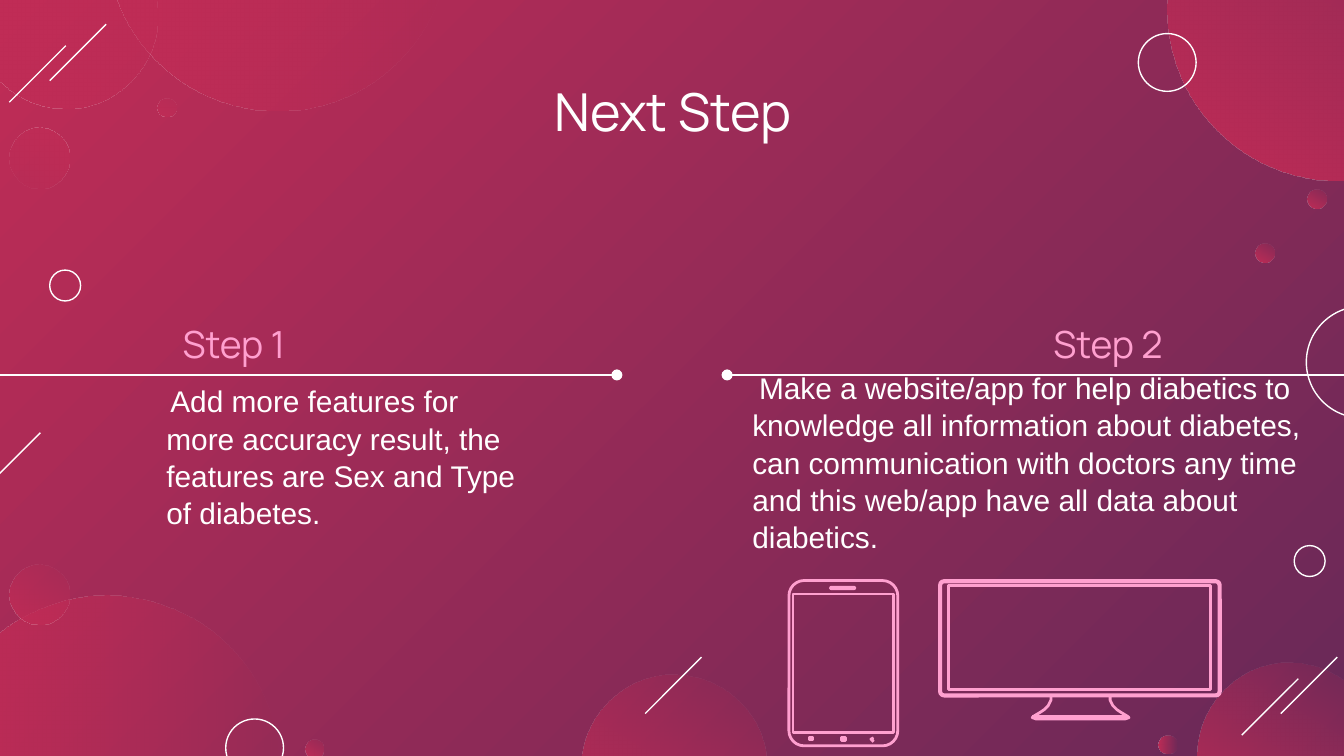
from lxml import etree
from pptx import Presentation
from pptx.dml.color import RGBColor
from pptx.enum.shapes import MSO_CONNECTOR, MSO_SHAPE
from pptx.enum.text import MSO_ANCHOR, PP_ALIGN
from pptx.oxml.ns import qn
from pptx.util import Pt

OVAL, RECT, ROUND = MSO_SHAPE.OVAL, MSO_SHAPE.RECTANGLE, MSO_SHAPE.ROUNDED_RECTANGLE
STRAIGHT = MSO_CONNECTOR.STRAIGHT
TOP, MIDDLE = MSO_ANCHOR.TOP, MSO_ANCHOR.MIDDLE
LEFT, CENTER, RIGHT = PP_ALIGN.LEFT, PP_ALIGN.CENTER, PP_ALIGN.RIGHT
RED, PURPLE, PINK, WHITE = "C02C56", "682958", "FFA0CF", "FFFFFF"

deck = Presentation()
deck.slide_width = 9144000
deck.slide_height = deck.slide_width * 9 // 16
COLUMN = ROW = deck.slide_width // 10


def color(code):
    return RGBColor.from_string(code)


def write(box, text, *, size, font="Manrope", ink=WHITE, align=LEFT, anchor=TOP,
          indent=0, first=0, spacing=1.0):
    frame = box.text_frame
    frame.word_wrap = True
    frame.vertical_anchor = anchor
    frame.margin_left = frame.margin_right = COLUMN // 10
    frame.margin_top = frame.margin_bottom = ROW // 10
    para = frame.paragraphs[0]
    para.alignment = align
    para.line_spacing = spacing
    layout = para._p.get_or_add_pPr()
    layout.set("marL", str(int(indent * COLUMN)))
    layout.set("indent", str(int(first * COLUMN)))
    span = para.add_run()
    span.text = text
    span.font.size = Pt(size)
    span.font.name = font
    span.font.bold = False
    span.font.color.rgb = color(ink)


page = deck.slides.add_slide(deck.slide_layouts[5])
backdrop = page.background.fill
backdrop.gradient()
backdrop.gradient_angle = 315
for stop, code in zip(backdrop.gradient_stops, (RED, PURPLE)):
    stop.color.rgb = color(code)

HUGE, LARGE, SMALL, DOT = 2.55, 1.37, 0.45, 0.14
bubbles = [
    (0.79, -1.73, HUGE, 0, 0), (-0.2, -0.56, LARGE, 121, 1),
    (8.91, 4.93, LARGE, 121, 1), (8.69, -1.21, HUGE, 121, 1),
    (-0.48, 4.43, HUGE, 0, 0), (0.07, 0.95, SMALL, 121, 0),
    (1.17, 0.73, DOT, 121, 1), (4.33, 5.02, LARGE, 121, 1),
    (2.27, 5.5, DOT, 121, 1), (8.62, 5.47, DOT, 0, 0),
    (9.73, 1.41, DOT, 121, 1), (9.34, 1.81, DOT, 121, 1),
    (0.07, 4.2, SMALL, 121, 1),
]
for left, top, size, angle, clear_stop in bubbles:
    bubble = page.shapes.add_shape(
        OVAL, int(left * COLUMN), int(top * ROW), int(size * COLUMN), int(size * ROW))
    bubble.shadow.inherit = False
    bubble.rotation = 180
    bubble.line.fill.background()
    bubble.fill.gradient()
    bubble.fill.gradient_angle = -angle % 360
    for stop in bubble.fill.gradient_stops:
        stop.color.rgb = color(RED)
    tints = list(bubble._element.spPr.iter(qn("a:srgbClr")))
    etree.SubElement(tints[clear_stop], qn("a:alpha"), val="0")

rings = [(8.47, 0.25, 0.43), (0.37, 2.01, 0.23), (9.72, 2.28, 0.83),
         (9.63, 4.06, 0.23), (1.68, 5.35, 0.43)]
outlines = [(OVAL, left, top, size, size, None, WHITE, 0.75) for left, top, size in rings]
phone = [
    (ROUND, 5.87, 4.32, 0.81, 1.23, 0.14), (RECT, 5.9, 4.42, 0.75, 1.03, None),
    (ROUND, 6.18, 4.37, 0.18, 0.01, 0.5), (RECT, 6.02, 5.49, 0.03, 0.01, None),
    (RECT, 6.26, 5.49, 0.03, 0.02, None),
]
monitor = [
    (ROUND, 6.99, 4.32, 2.09, 0.86, 0.04), (ROUND, 7, 4.33, 2.07, 0.84, 0.03),
    (RECT, 7.06, 4.36, 1.95, 0.77, None),
]
outlines += [(*part, PINK, 1.5) for part in phone + monitor]
for kind, left, top, width, height, corner, ink, weight in outlines:
    outline = page.shapes.add_shape(
        kind, int(left * COLUMN), int(top * ROW), int(width * COLUMN), int(height * ROW))
    outline.shadow.inherit = False
    outline.fill.background()
    outline.line.color.rgb = color(ink)
    outline.line.width = Pt(weight)
    if corner is not None:
        outline.adjustments[0] = corner

STAND_CENTER = 8.04
profile = [(0.22, 5.17), (0.22, 5.21), (0.24, 5.25), (0.27, 5.28), (0.3, 5.3),
           (0.35, 5.33), (0.36, 5.34), (0.33, 5.35)]
stand = [(STAND_CENTER - offset, y) for offset, y in profile]
stand += [(STAND_CENTER + offset, y) for offset, y in reversed(profile)]
back_key = [(6.5, 5.49), (6.48, 5.5), (6.5, 5.52)]
for points in (stand, back_key):
    corners = [(int(x * COLUMN), int(y * ROW)) for x, y in points]
    builder = page.shapes.build_freeform(*corners[0])
    builder.add_line_segments(corners[1:], close=False)
    curve = builder.convert_to_shape()
    curve.shadow.inherit = False
    curve.fill.background()
    curve.line.color.rgb = color(PINK)
    curve.line.width = Pt(1.5)

SLANT = 0.42
slants = [(9.24, 5.47), (9.53, 5.31), (-0.12, 3.64), (0.07, 0.76), (0.37, 0.6), (4.8, 5.31)]
lines = [(x, y, x + SLANT, y - SLANT, WHITE, 0.75, False) for x, y in slants]
lines += [
    (4.59, 2.79, 0, 2.79, WHITE, 0.75, True),
    (5.41, 2.79, 10, 2.79, WHITE, 0.75, True),
    (7.68, 5.33, 8.39, 5.33, PINK, 1.5, False),
]
for x1, y1, x2, y2, ink, weight, dotted in lines:
    line = page.shapes.add_connector(
        STRAIGHT, int(x1 * COLUMN), int(y1 * ROW), int(x2 * COLUMN), int(y2 * ROW))
    line.line.color.rgb = color(ink)
    line.line.width = Pt(weight)
    properties = line._element.spPr
    if dotted:
        etree.SubElement(properties.find(qn("a:ln")), qn("a:headEnd"), type="oval")
    etree.SubElement(properties, qn("a:effectLst"))

title = page.shapes.title
title.left, title.top = int(0.79 * COLUMN), int(0.49 * ROW)
title.width, title.height = int(8.43 * COLUMN), int(0.63 * ROW)
write(title, "Next Step", size=28, align=CENTER)

heading = dict(size=20, ink=PINK)
body = dict(size=16, font="Arial", anchor=MIDDLE, indent=0.5, spacing=1.04)
texts = [
    (1.26, 2.29, 2.75, 0.44, "Step 1", heading),
    (0.64, 2.78, 3.36, 1.23,
     "Add more features for more accuracy result, the features are Sex and Type of diabetes.",
     dict(body, first=0.03)),
    (6, 2.29, 2.75, 0.44, "Step 2", dict(heading, align=RIGHT)),
    (5, 2.82, 4.97, 1.23,
     "Make a website/app for help diabetics to knowledge all information about diabetes, "
     "can communication with doctors any time and this web/app have all data about diabetics.",
     dict(body, first=0.05)),
]
for left, top, width, height, text, style in texts:
    box = page.shapes.add_textbox(
        int(left * COLUMN), int(top * ROW), int(width * COLUMN), int(height * ROW))
    write(box, text, **style)

deck.save("out.pptx")
